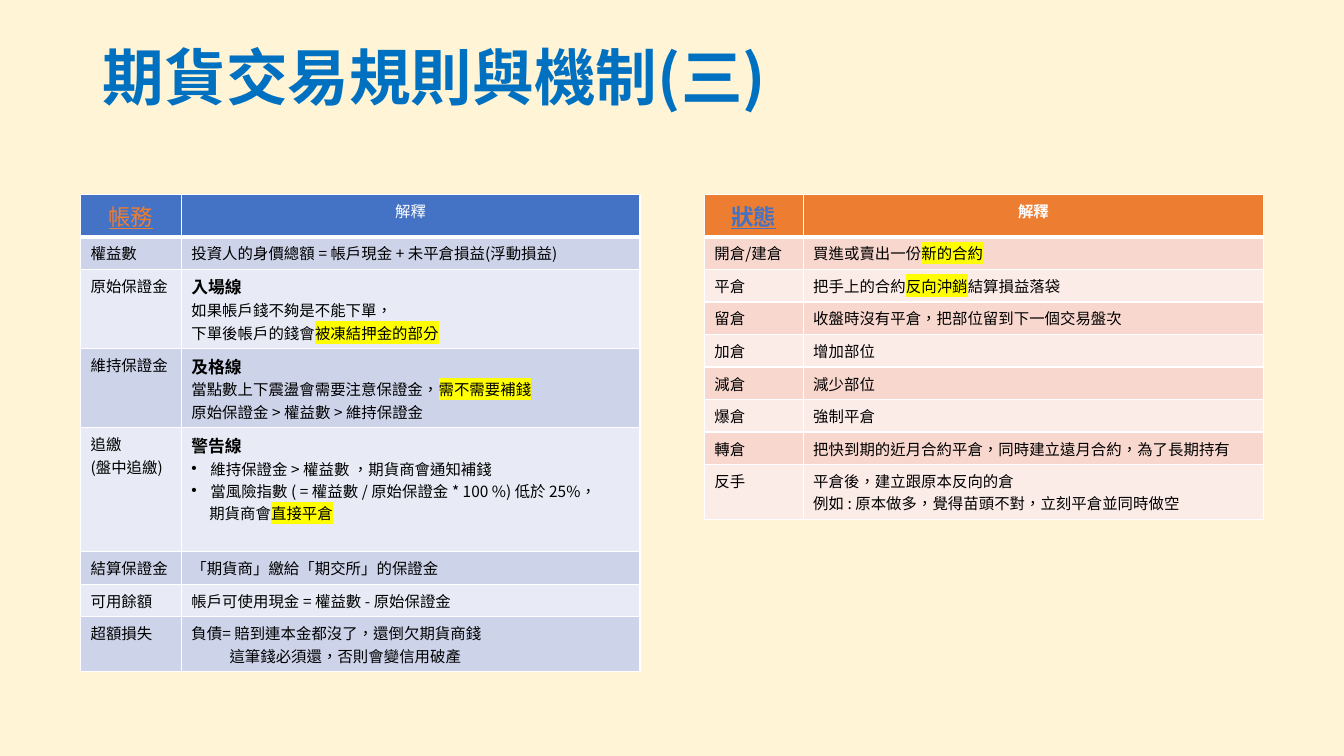
import dataclasses

import pptx
import pptx.dml.color
import pptx.enum.lang
import pptx.enum.text
import pptx.oxml
import pptx.oxml.ns
import pptx.util
import lxml.etree

Cm = pptx.util.Cm
Pt = pptx.util.Pt
Color = pptx.dml.color.RGBColor.from_string
Align = pptx.enum.text.PP_ALIGN


@dataclasses.dataclass(frozen=True)
class Theme:
    font: str = "Noto Sans CJK TC"
    background: str = "FFF5D6"
    title: str = "0070C0"
    text: str = "000000"
    white: str = "FFFFFF"
    highlight: str = "FFFF00"
    blue: str = "4472C4"
    blue_bands: tuple = ("CDD4EA", "E8EBF5")
    orange: str = "ED7D31"
    orange_bands: tuple = ("F8D7CE", "FCECE8")
    title_size: int = 44
    key_size: int = 16
    lead_size: int = 12
    body_size: int = 11


THEME = Theme()

FORMATS = {
    "body": {"size": Pt(THEME.body_size), "bold": False},
    "lead": {"size": Pt(THEME.lead_size), "bold": True},
    "key": {"size": Pt(THEME.key_size), "underline": True},
    "heading": {"size": Pt(THEME.body_size)},
    "title": {"size": Pt(THEME.title_size), "bold": True},
}
INDENTS = {
    "bullet": {"marL": Cm(0.48), "indent": Cm(-0.48)},
    "hanging": {"marL": Cm(0.45), "indent": 0},
    "deep": {"marL": Cm(0.96), "indent": 0},
}

ACCOUNT_ROWS = [
    (0.82, ["權益數"], [("body", "投資人的身價總額 = 帳戶現金 + 未平倉損益(浮動損益)")]),
    (1.99, ["原始保證金"], [
        ("lead", "入場線"),
        ("body", "如果帳戶錢不夠是不能下單，"),
        ("body", "下單後帳戶的錢會|被凍結押金的部分"),
    ]),
    (1.99, ["維持保證金"], [
        ("lead", "及格線"),
        ("body", "當點數上下震盪會需要注意保證金，|需不需要補錢"),
        ("body", "原始保證金 > 權益數 > 維持保證金"),
    ]),
    (3.12, ["追繳", "(盤中追繳)"], [
        ("lead", "警告線"),
        ("bullet", "維持保證金 > 權益數 ，期貨商會通知補錢"),
        ("bullet", "當風險指數 ( = 權益數 / 原始保證金 * 100 %) 低於 25%，"),
        ("hanging", "期貨商會|直接平倉"),
    ]),
    (0.82, ["結算保證金"], [("body", "「期貨商」繳給「期交所」的保證金")]),
    (0.82, ["可用餘額"], [("body", "帳戶可使用現金 = 權益數 - 原始保證金")]),
    (1.37, ["超額損失"], [
        ("body", "負債= 賠到連本金都沒了，還倒欠期貨商錢"),
        ("deep", "這筆錢必須還，否則會變信用破產"),
    ]),
]

STATUS_ROWS = [
    (0.82, ["開倉/建倉"], [("body", "買進或賣出一份|新的合約")]),
    (0.82, ["平倉"], [("body", "把手上的合約|反向沖銷|結算損益落袋")]),
    (0.82, ["留倉"], [("body", "收盤時沒有平倉，把部位留到下一個交易盤次")]),
    (0.82, ["加倉"], [("body", "增加部位")]),
    (0.82, ["減倉"], [("body", "減少部位")]),
    (0.82, ["爆倉"], [("body", "強制平倉")]),
    (0.82, ["轉倉"], [("body", "把快到期的近月合約平倉，同時建立遠月合約，為了長期持有")]),
    (1.37, ["反手"], [
        ("body", "平倉後，建立跟原本反向的倉"),
        ("body", "例如 : 原本做多，覺得苗頭不對，立刻平倉並同時做空"),
    ]),
]


def add_element(parent, tag, **attributes):
    return lxml.etree.SubElement(
        parent, pptx.oxml.ns.qn(tag), {key: str(value) for key, value in attributes.items()})


def add_run(paragraph, text, formats, color, highlighted=False):
    run = paragraph.add_run()
    run.text = text
    for name, value in formats.items():
        setattr(run.font, name, value)
    run.font.language_id = pptx.enum.lang.MSO_LANGUAGE_ID.TRADITIONAL_CHINESE
    run.font.color.rgb = Color(color)
    properties = run.font._element
    if highlighted:
        add_element(add_element(properties, "a:highlight"), "a:srgbClr", val=THEME.highlight)
    run.font.name = THEME.font
    add_element(properties, "a:ea", typeface=THEME.font)


def write_paragraphs(text_frame, lines, color, alignment=Align.LEFT, bold=None):
    for index, (style, text) in enumerate(lines):
        paragraph = text_frame.add_paragraph() if index else text_frame.paragraphs[0]
        paragraph.alignment = alignment
        properties = paragraph._p.get_or_add_pPr()
        for name, value in INDENTS.get(style, {}).items():
            properties.set(name, str(int(value)))
        if style == "bullet":
            add_element(properties, "a:buFont", typeface="Arial")
            add_element(properties, "a:buChar", char="•")
        formats = dict(FORMATS.get(style, FORMATS["body"]))
        if bold is not None:
            formats["bold"] = bold
        for part, piece in enumerate(text.split("|")):
            add_run(paragraph, piece, formats, color, part % 2 == 1)


def style_cell(cell, fill, top=1, bottom=1):
    properties = cell._tc.get_or_add_tcPr()
    for side, width in {"L": 1, "R": 1, "T": top, "B": bottom}.items():
        line = add_element(properties, "a:ln" + side, w=int(Pt(width)))
        add_element(add_element(line, "a:solidFill"), "a:srgbClr", val=THEME.white)
    cell.fill.solid()
    cell.fill.fore_color.rgb = Color(fill)


def add_title(slide, box, text):
    title = slide.shapes.title
    for name, value in zip(("left", "top", "width", "height"), box):
        setattr(title, name, Cm(value))
    title.text_frame.vertical_anchor = pptx.enum.text.MSO_ANCHOR.MIDDLE
    write_paragraphs(title.text_frame, [("title", text)], THEME.title)
    title.text_frame.paragraphs[0].line_spacing = 0.9


def add_glossary(slide, box, key_width, key, rows, fill, key_color, bands, bold):
    left, top, width = box
    header_height = 1.05
    height = header_height + sum(row[0] for row in rows)
    table = slide.shapes.add_table(
        len(rows) + 1, 2, Cm(left), Cm(top), Cm(width), Cm(height)).table
    table.columns[0].width = Cm(key_width)
    table.columns[1].width = Cm(width - key_width)
    table.rows[0].height = Cm(header_height)
    headers = [("key", key, key_color), ("heading", "解釋", THEME.white)]
    for column, (style, text, color) in enumerate(headers):
        cell = table.cell(0, column)
        style_cell(cell, fill, bottom=3)
        write_paragraphs(cell.text_frame, [(style, text)], color, Align.CENTER, bold)
    for index, (row_height, label, lines) in enumerate(rows, 1):
        table.rows[index].height = Cm(row_height)
        contents = [[("body", text) for text in label], lines]
        for column, content in enumerate(contents):
            cell = table.cell(index, column)
            style_cell(cell, bands[(index - 1) % 2], top=3 if index == 1 else 1)
            write_paragraphs(cell.text_frame, content, THEME.text)


def build_rules_slide(presentation):
    slide = presentation.slides.add_slide(presentation.slide_layouts[5])
    slide.background.fill.solid()
    slide.background.fill.fore_color.rgb = Color(THEME.background)
    add_title(slide, (2.34, 0.18, 29.21, 3.68), "期貨交易規則與機制(三)")
    add_glossary(slide, (2.03, 4.9, 14.1), 2.54, "帳務", ACCOUNT_ROWS,
                 THEME.blue, THEME.orange, THEME.blue_bands, False)
    add_glossary(slide, (17.75, 4.9, 14.1), 2.49, "狀態", STATUS_ROWS,
                 THEME.orange, THEME.blue, THEME.orange_bands, True)


def main():
    presentation = pptx.Presentation()
    presentation.slide_width = Cm(33.87)
    presentation.slide_height = Cm(19.05)
    build_rules_slide(presentation)
    presentation.save("out.pptx")


if __name__ == "__main__":
    main()
